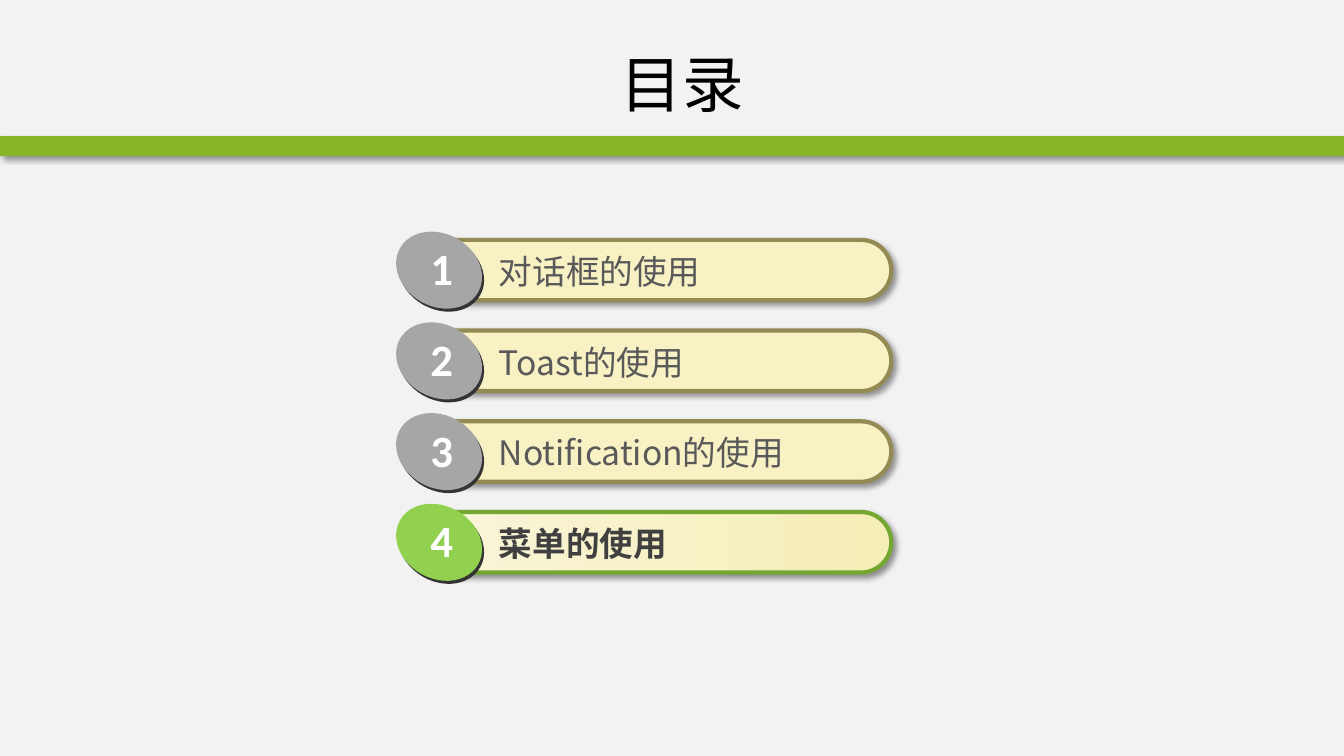
from lxml import etree
from pptx import Presentation
from pptx.dml.color import RGBColor
from pptx.enum.shapes import MSO_SHAPE
from pptx.enum.text import MSO_ANCHOR, MSO_AUTO_SIZE, PP_ALIGN
from pptx.oxml.ns import qn
from pptx.util import Inches, Pt

RECT, PILL, OVAL = MSO_SHAPE.RECTANGLE, MSO_SHAPE.ROUNDED_RECTANGLE, MSO_SHAPE.OVAL
MIDDLE, CENTER = MSO_ANCHOR.MIDDLE, PP_ALIGN.CENTER
FIT_SHAPE = MSO_AUTO_SIZE.SHAPE_TO_FIT_TEXT

TITLE = "目录"
CHAPTERS = ["对话框的使用", "Toast的使用", "Notification的使用", "菜单的使用"]
CURRENT = "菜单的使用"
CJK, LATIN = "Noto Sans CJK SC", "Calibri"

# Fill (one colour or two gradient ends), border, badge, text
PAST_STYLE = (["F7F1C4"], "948A54", "A6A6A6", "595959")
CURRENT_STYLE = (["F9F5D9", "F5EEB7"], "74A731", "92D050", "404040")

WIDTH, HEIGHT = 13.33, 7.5
LIST_LEFT, LIST_TOP, ROW_PITCH = 4.13, 2.38, 0.9
BADGE_SIZE, BADGE_TILT = (0.89, 0.72), 29.3


def color(value):
    return RGBColor.from_string(value)


def add_shadow(shape):
    """Soft shadow to the lower right."""
    effects = shape._element.spPr.find(qn("a:effectLst"))
    shadow = etree.SubElement(effects, qn("a:outerShdw"), blurRad=str(Pt(4)),
                              dist=str(Pt(3)), dir=str(45 * 60000),
                              algn="tl", rotWithShape="0")
    tint = etree.SubElement(shadow, qn("a:srgbClr"), val="000000")
    etree.SubElement(tint, qn("a:alpha"), val="40000")


def add_form(shapes, kind, left, top, width, height, fills):
    form = shapes.add_shape(kind, Inches(left), Inches(top), Inches(width), Inches(height))
    form.shadow.inherit = False
    form.line.fill.background()
    if len(fills) == 1:
        form.fill.solid()
        form.fill.fore_color.rgb = color(fills[0])
    else:
        form.fill.gradient()
        form.fill.gradient_angle = 0
        for position, (stop, fill) in enumerate(zip(form.fill.gradient_stops, fills)):
            stop.position = position
            stop.color.rgb = color(fill)
    return form


def add_text(shapes, text, left, top, width, height, size, font_name, ink,
             bold=False, wrap=True):
    box = shapes.add_textbox(Inches(left), Inches(top), Inches(width), Inches(height))
    frame = box.text_frame
    frame.word_wrap = wrap
    run = frame.paragraphs[0].add_run()
    run.text = text
    font = run.font
    font.size, font.bold, font.name = Pt(size), bold, font_name
    font.color.rgb = color(ink)
    etree.SubElement(run._r.get_or_add_rPr(), qn("a:ea"), typeface=font_name)
    return frame


def add_chapter(slide, number, chapter):
    is_current = chapter == CURRENT
    fills, border, badge_fill, ink = CURRENT_STYLE if is_current else PAST_STYLE
    top = LIST_TOP + (number - 1) * ROW_PITCH
    shapes = slide.shapes.add_group_shape().shapes

    pill = add_form(shapes, PILL, LIST_LEFT, top, 4.71, 0.6, fills)
    pill.adjustments[0] = 0.5
    pill.line.color.rgb = color(border)
    pill.line.width = Pt(3)
    add_shadow(pill)

    label = add_text(shapes, chapter, LIST_LEFT + 0.72, top + 0.06, 3.75, 0.5,
                     24, CJK, ink, bold=is_current)
    label.auto_size = FIT_SHAPE

    for dx, dy, fill in [(-0.2, -0.03, "333333"), (-0.22, -0.06, badge_fill)]:
        badge = add_form(shapes, OVAL, LIST_LEFT + dx, top + dy, *BADGE_SIZE, [fill])
        badge.rotation = BADGE_TILT

    numeral = add_text(shapes, str(number), LIST_LEFT + 0.04, top - 0.04, 0.43, 0.64,
                       32, LATIN, "FFFFFF", bold=True, wrap=False)
    numeral.auto_size = FIT_SHAPE


def main():
    deck = Presentation()
    deck.slide_width, deck.slide_height = Inches(WIDTH), Inches(HEIGHT)
    slide = deck.slides.add_slide(deck.slide_layouts[6])
    slide.background.fill.solid()
    slide.background.fill.fore_color.rgb = color("F2F2F2")

    add_shadow(add_form(slide.shapes, RECT, 0, 1.35, WIDTH, 0.2, ["88B429"]))
    for number, chapter in enumerate(CHAPTERS, 1):
        add_chapter(slide, number, chapter)

    title = add_text(slide.shapes, TITLE, 1.39, 0.3, 10.76, 1.05, 44, CJK, "000000")
    title.vertical_anchor = MIDDLE
    title.paragraphs[0].alignment = CENTER
    deck.save("out.pptx")


if __name__ == "__main__":
    main()
